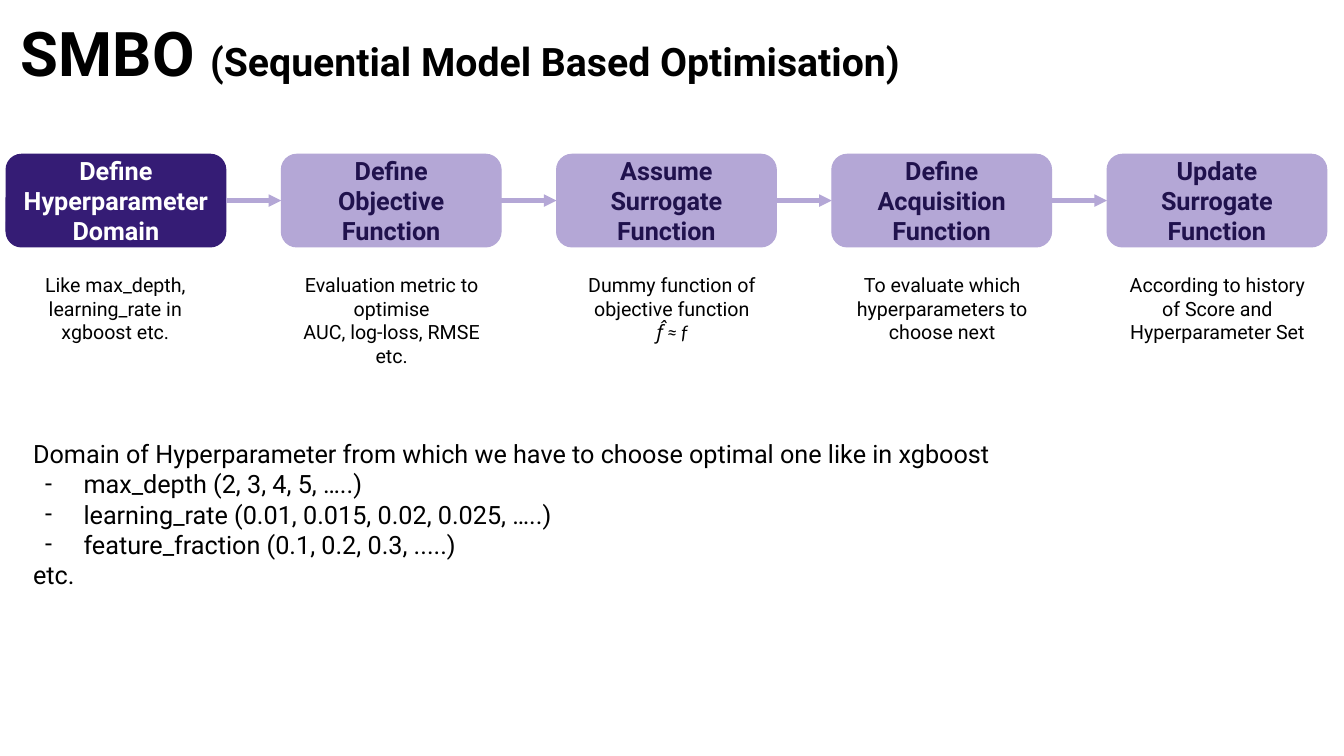
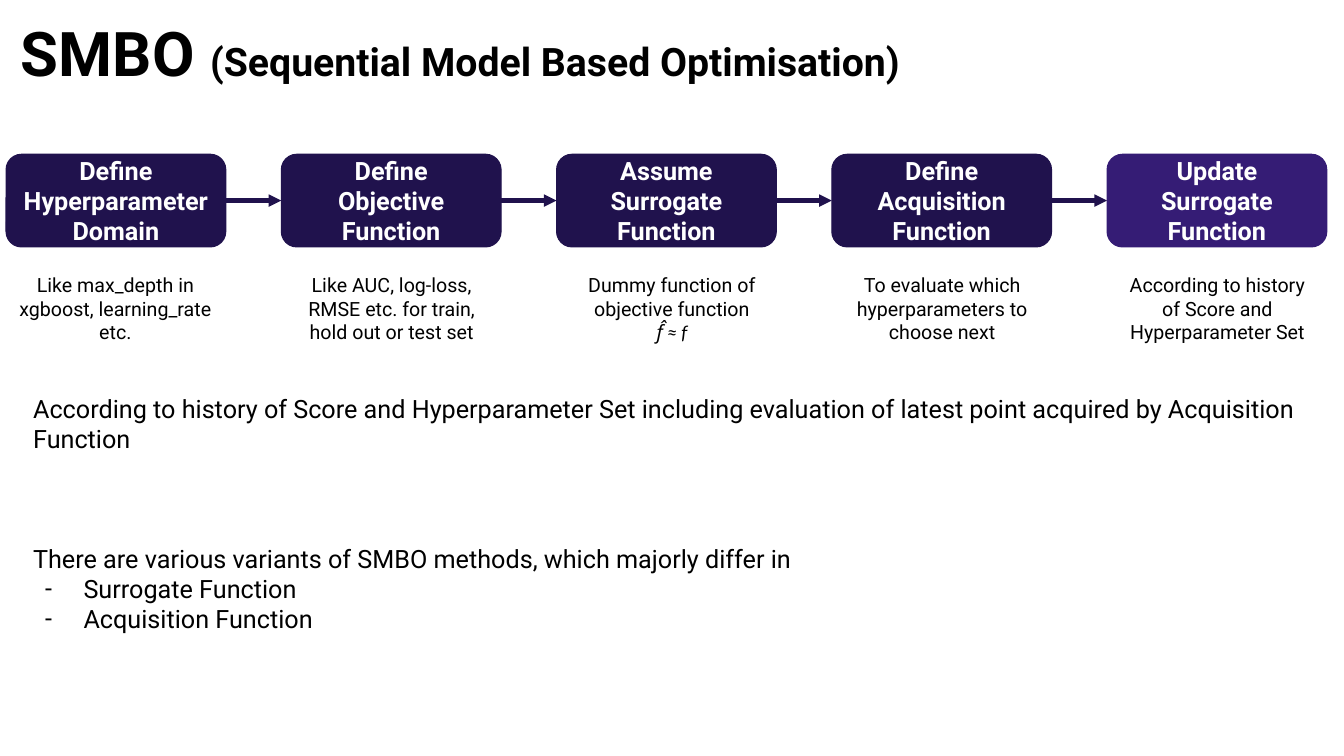
from dataclasses import dataclass
from itertools import pairwise

from lxml.etree import SubElement
from pptx import Presentation
from pptx.dml.color import RGBColor
from pptx.enum.shapes import MSO_CONNECTOR as Connector, MSO_SHAPE as Shape
from pptx.enum.text import MSO_ANCHOR as Anchor, PP_ALIGN as Align
from pptx.oxml.ns import qn
from pptx.util import Inches, Pt


@dataclass(frozen=True)
class Theme:
    """Colours, fonts and type sizes of the deck."""
    black: str = "000000"
    white: str = "FFFFFF"
    violet: str = "351C75"
    navy: str = "20124D"
    lilac: str = "B4A7D6"
    font: str = "Roboto"
    math_font: str = "Calibri"
    acronym: int = 44
    subtitle: int = 28
    body: int = 18
    caption: int = 14


THEME = Theme()
STEP_LEFT, STEP_PITCH = 0.06, 2.73
STEP_TOP, STEP_WIDTH, STEP_HEIGHT = 1.53, 2.18, 0.92
CAPTION_LEFTS = (0.08, 2.82, 5.6, 8.28, 11.01)
STEPS = (
    ["Define Hyperparameter Domain"],
    ["Define", "Objective Function"],
    ["Assume Surrogate Function"],
    ["Define", "Acquisition Function"],
    ["Update Surrogate Function"],
)
APPROXIMATION = "f̂ ≈ f"
SHARED_CAPTIONS = (
    ["Dummy function of objective function", APPROXIMATION],
    ["To evaluate which hyperparameters to choose next"],
    ["According to history of Score and Hyperparameter Set"],
)


def write(paragraph, text, size=THEME.body, color=THEME.black,
          font=THEME.font, bold=False, italic=False):
    """Add a formatted run to a paragraph."""
    run = paragraph.add_run()
    run.text = text
    run.font.size, run.font.name = Pt(size), font
    run.font.bold, run.font.italic = bold, italic
    run.font.color.rgb = RGBColor.from_string(color)


def add_dash(paragraph):
    """Give a paragraph a hanging dash."""
    properties = paragraph._p.get_or_add_pPr()
    properties.set("marL", str(Inches(0.5)))
    properties.set("indent", str(Inches(-0.38)))
    color = SubElement(properties, qn("a:buClr"))
    SubElement(color, qn("a:srgbClr"), val=THEME.black)
    SubElement(properties, qn("a:buFont"), typeface=THEME.font)
    SubElement(properties, qn("a:buChar"), char="-")


def paragraphs(frame, lines):
    """Yield a paragraph of the frame with each line."""
    for index, line in enumerate(lines):
        yield (frame.add_paragraph() if index else frame.paragraphs[0]), line


class Deck:
    """Builds process slides in one style."""

    def __init__(self):
        """Start an empty wide presentation."""
        self.presentation = Presentation()
        self.presentation.slide_width = Inches(13.33)
        self.presentation.slide_height = Inches(7.5)
        self.slide = None

    def new_slide(self):
        """Start a slide with the shared title."""
        self.slide = self.presentation.slides.add_slide(self.presentation.slide_layouts[6])
        self.title("SMBO ", "(Sequential Model Based Optimisation)")

    def frame(self, shape, anchor=Anchor.TOP, vertical_inset=0.1):
        """Prepare the text frame of a shape."""
        frame = shape.text_frame
        frame.word_wrap, frame.vertical_anchor = True, anchor
        frame.margin_left = frame.margin_right = Inches(0.1)
        frame.margin_top = frame.margin_bottom = Inches(vertical_inset)
        return frame

    def text_area(self, left, top, width, height, **layout):
        """Add a text box and return its frame."""
        area = self.slide.shapes.add_textbox(
            Inches(left), Inches(top), Inches(width), Inches(height))
        return self.frame(area, **layout)

    def title(self, acronym, meaning):
        """Add the title with its smaller expansion."""
        heading = self.text_area(0.11, 0.1, 9.19, 0.92,
                                 anchor=Anchor.MIDDLE, vertical_inset=0.05).paragraphs[0]
        heading.line_spacing = 0.9
        write(heading, acronym, size=THEME.acronym, bold=True)
        write(heading, meaning, size=THEME.subtitle, bold=True)

    def step(self, left, lines, fill, ink):
        """Add one step of the process."""
        step = self.slide.shapes.add_shape(
            Shape.FLOWCHART_ALTERNATE_PROCESS, Inches(left), Inches(STEP_TOP),
            Inches(STEP_WIDTH), Inches(STEP_HEIGHT))
        step.shadow.inherit = False
        step.fill.solid()
        step.fill.fore_color.rgb = step.line.color.rgb = RGBColor.from_string(fill)
        step.line.width = Pt(0.75)
        for paragraph, line in paragraphs(self.frame(step, anchor=Anchor.MIDDLE), lines):
            paragraph.alignment = Align.CENTER
            write(paragraph, line, color=ink, bold=True)

    def arrow(self, start, end, color):
        """Add an arrow between two steps."""
        middle = Inches(STEP_TOP + STEP_HEIGHT / 2)
        arrow = self.slide.shapes.add_connector(
            Connector.STRAIGHT, Inches(start), middle, Inches(end), middle)
        arrow.line.color.rgb = RGBColor.from_string(color)
        arrow.line.width = Pt(3)
        SubElement(arrow.line._get_or_add_ln(), qn("a:tailEnd"), type="triangle")
        SubElement(arrow._element.spPr, qn("a:effectLst"))

    def caption(self, left, lines):
        """Add the explanation below a step."""
        for paragraph, line in paragraphs(self.text_area(left, 2.61, 2.13, 0.92), lines):
            paragraph.alignment = Align.CENTER
            formula = line == APPROXIMATION
            write(paragraph, line, size=THEME.caption, italic=formula,
                  font=THEME.math_font if formula else THEME.font)

    def process(self, captions, active, fill, ink):
        """Add the chain of steps with one highlighted."""
        lefts = [STEP_LEFT + index * STEP_PITCH for index in range(len(STEPS))]
        for index, (left, lines) in enumerate(zip(lefts, STEPS)):
            current = index == active
            self.step(left, lines, THEME.violet if current else fill,
                      THEME.white if current else ink)
        for left, following in pairwise(lefts):
            self.arrow(left + STEP_WIDTH, following, fill)
        for left, lines in zip(CAPTION_LEFTS, captions):
            self.caption(left, lines)

    def details(self, top, height, lines):
        """Add body lines given as text, dash flag and space before."""
        frame = self.text_area(0.23, top, 12.89, height)
        for paragraph, (text, dashed, gap) in paragraphs(frame, lines):
            if gap:
                paragraph.space_before = Pt(gap)
            if dashed:
                add_dash(paragraph)
            write(paragraph, text)


def main():
    """Build and save the two slides."""
    deck = Deck()

    deck.new_slide()
    deck.process(
        (["Like max_depth, learning_rate in xgboost etc."],
         ["Evaluation metric to optimise", "AUC, log-loss, RMSE etc."],
         *SHARED_CAPTIONS),
        active=0, fill=THEME.lilac, ink=THEME.navy)
    deck.details(4.25, 1.7, (
        ("Domain of Hyperparameter from which we have to choose optimal one like in xgboost",
         False, 0),
        ("max_depth (2, 3, 4, 5, …..)", True, 0),
        ("learning_rate (0.01, 0.015, 0.02, 0.025, …..)", True, 0),
        ("feature_fraction (0.1, 0.2, 0.3, .....)", True, 0),
        ("etc.", False, 0),
    ))

    deck.new_slide()
    deck.process(
        (["Like max_depth in xgboost, learning_rate etc."],
         ["Like AUC, log-loss, RMSE etc. for train, hold out or test set"],
         *SHARED_CAPTIONS),
        active=4, fill=THEME.navy, ink=THEME.white)
    deck.details(3.8, 3.08, (
        ("According to history of Score and Hyperparameter Set including evaluation "
         "of latest point acquired by Acquisition Function", False, 0),
        ("There are various variants of SMBO methods, which majorly differ in", False, 64),
        ("Surrogate Function", True, 0),
        ("Acquisition Function", True, 0),
    ))

    deck.presentation.save("out.pptx")


if __name__ == "__main__":
    main()
